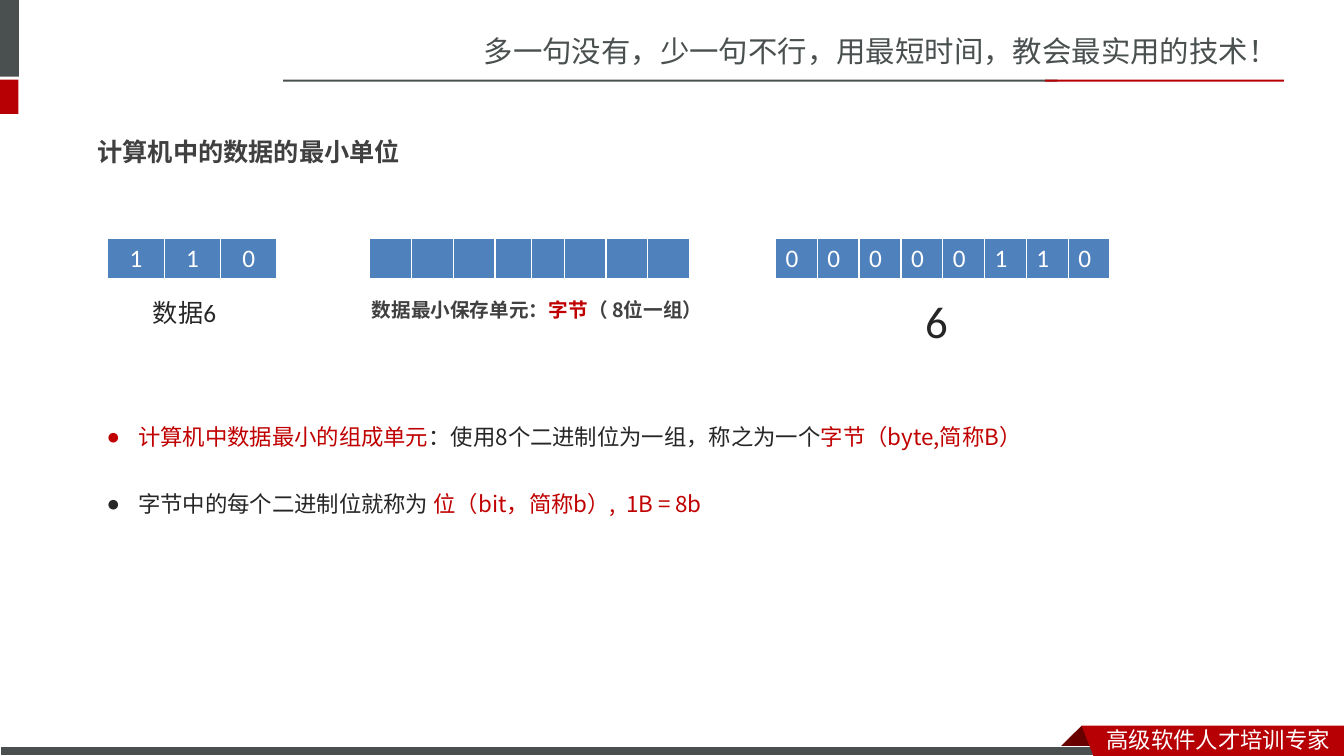
from lxml.etree import SubElement
from pptx import Presentation
from pptx.dml.color import RGBColor
from pptx.enum.shapes import MSO_SHAPE
from pptx.enum.text import MSO_ANCHOR, PP_ALIGN
from pptx.oxml.ns import qn
from pptx.util import Pt

GREY = RGBColor(0x49, 0x50, 0x4F)
RED = RGBColor(0xB6, 0x00, 0x04)
MAROON = RGBColor(0x68, 0x00, 0x00)
ACCENT = RGBColor(0xC0, 0x00, 0x00)
DARK = RGBColor(0x40, 0x40, 0x40)
INK = RGBColor(0x26, 0x26, 0x26)
BLUE = RGBColor(0x4F, 0x81, 0xBD)
WHITE = RGBColor(0xFF, 0xFF, 0xFF)
SANS = "Noto Sans CJK SC"
GOTHIC = "Noto Sans CJK JP"
LATIN = "Calibri"
BORDERS = {"a:lnL": 1, "a:lnR": 1, "a:lnT": 1, "a:lnB": 3}
BIT = 29.9


def paint(shape, color):
    shape.shadow.inherit = False
    shape.fill.solid()
    shape.fill.fore_color.rgb = color
    shape.line.fill.background()


def add_bar(slide, left, top, width, height, color):
    bar = slide.shapes.add_shape(
        MSO_SHAPE.RECTANGLE, Pt(left), Pt(top), Pt(width), Pt(height))
    paint(bar, color)
    return bar


def add_outline(slide, points, color):
    start, *rest = [(Pt(x), Pt(y)) for x, y in points]
    builder = slide.shapes.build_freeform(*start)
    builder.add_line_segments(rest, close=True)
    paint(builder.convert_to_shape(), color)


def add_run(para, text, color, size, name, bold=False):
    """Add a run whose Latin and East Asian fonts are both set."""
    run = para.add_run()
    run.text = text
    form = {"size": Pt(size), "name": name, "bold": bold}
    for key, value in form.items():
        setattr(run.font, key, value)
    run.font.color.rgb = color
    asian = SANS if name == LATIN else name
    SubElement(run.font._element, qn("a:ea"), typeface=asian)


def add_text(slide, box, paras, size, name, bold=False):
    """Add a text box; each paragraph is a list of (text, colour) runs."""
    frame = slide.shapes.add_textbox(*[Pt(n) for n in box]).text_frame
    frame.word_wrap = True
    for index, runs in enumerate(paras):
        para = frame.add_paragraph() if index else frame.paragraphs[0]
        for text, color in runs:
            add_run(para, text, color, size, name, bold)
    return frame


def add_bullets(frame, indent, spacing):
    for para in frame.paragraphs:
        props = para._p.get_or_add_pPr()
        props.set("marL", str(Pt(indent)))
        props.set("indent", str(-Pt(indent)))
        para.line_spacing = spacing
        SubElement(props, qn("a:buFont"), typeface="Arial")
        SubElement(props, qn("a:buChar"), char="●")


def add_borders(cell):
    props = cell._tc.get_or_add_tcPr()
    for tag, width in BORDERS.items():
        line = SubElement(props, qn(tag), w=str(Pt(width)))
        fill = SubElement(line, qn("a:solidFill"))
        SubElement(fill, qn("a:srgbClr"), val=str(WHITE))


def add_bits(slide, left, widths, digits, align=PP_ALIGN.LEFT):
    """Add a one-row table with one bit in each cell."""
    table = slide.shapes.add_table(
        1, len(widths), Pt(left), Pt(170.6), Pt(sum(widths)), Pt(29)).table
    table.first_row = table.horz_banding = False
    for index, width in enumerate(widths):
        table.columns[index].width = Pt(width)
        cell = table.cell(0, index)
        add_borders(cell)
        cell.fill.solid()
        cell.fill.fore_color.rgb = BLUE
        para = cell.text_frame.paragraphs[0]
        para.alignment = align
        if digits:
            add_run(para, digits[index], WHITE, 18, LATIN)
        else:
            para.font.size = Pt(18)


def add_frame(slide):
    """Draw the header and footer around the content."""
    add_text(slide, (338.4, 20.2, 621, 32.4),
             [[("多一句没有，少一句不行，用最短时间，教会最实用的技术！", GREY)]], 21, SANS)
    add_bar(slide, 0, 0, 13.5, 54.7, GREY)
    add_bar(slide, 0, 56.9, 13.2, 24.5, RED)
    add_bar(slide, 202.3, 56.9, 553, 1.5, GREY)
    add_bar(slide, 746.6, 56.9, 170.6, 1.5, RED)
    add_outline(slide, [(772.6, 518.4), (788.4, 534.2), (787.7, 535),
                        (757.4, 535), (756.7, 534.2)], MAROON)
    base = add_bar(slide, 0, 533.5, 791, 6.5, GREY)
    base.line.color.rgb = WHITE
    base.line.width = Pt(0.75)
    add_outline(slide, [(772.6, 518.4), (960, 518.4), (960, 540),
                        (781, 540)], RED)
    add_text(slide, (783.4, 514.8, 176.6, 25.2),
             [[("高级软件人才培训专家", WHITE)]], 16, SANS)


def main():
    deck = Presentation()
    deck.slide_width, deck.slide_height = Pt(960), Pt(540)
    slide = deck.slides.add_slide(deck.slide_layouts[6])
    add_frame(slide)

    title = add_text(slide, (62.6, 87.8, 741, 41),
                     [[("计算机中的数据的最小单位", DARK)]], 18, GOTHIC, True)
    title.vertical_anchor = MSO_ANCHOR.MIDDLE

    notes = add_text(slide, (69.1, 270, 684.7, 96.5), [
        [("计算机中数据最小的组成单元", ACCENT),
         ("：使用8个二进制位为一组，称之为一个", INK),
         ("字节（byte,简称B）", ACCENT)],
        [("字节中的每个二进制位就称为 ", INK),
         ("位（bit，简称b）,  1B = 8b", ACCENT)],
    ], 16, GOTHIC)
    add_bullets(notes, 22.5, 2.5)

    add_bits(slide, 77, [40.3] * 3, "110", PP_ALIGN.CENTER)
    add_bits(slide, 263.9, [BIT] * 3 + [26.3, 23.2] + [BIT] * 3, "")
    add_bits(slide, 553.9, [BIT] * 8, "00000110")

    add_text(slide, (102.2, 208.8, 110.9, 28.8), [[("数据6", INK)]], 18, LATIN)
    add_text(slide, (258.5, 209.5, 275, 24.5),
             [[("数据最小保存单元：", DARK), ("字节", ACCENT),
               ("（ 8位一组）", DARK)]], 14, GOTHIC, True)
    add_text(slide, (653.8, 206.6, 110.9, 46), [[("6", INK)]], 32, LATIN)
    deck.save("out.pptx")


if __name__ == "__main__":
    main()
